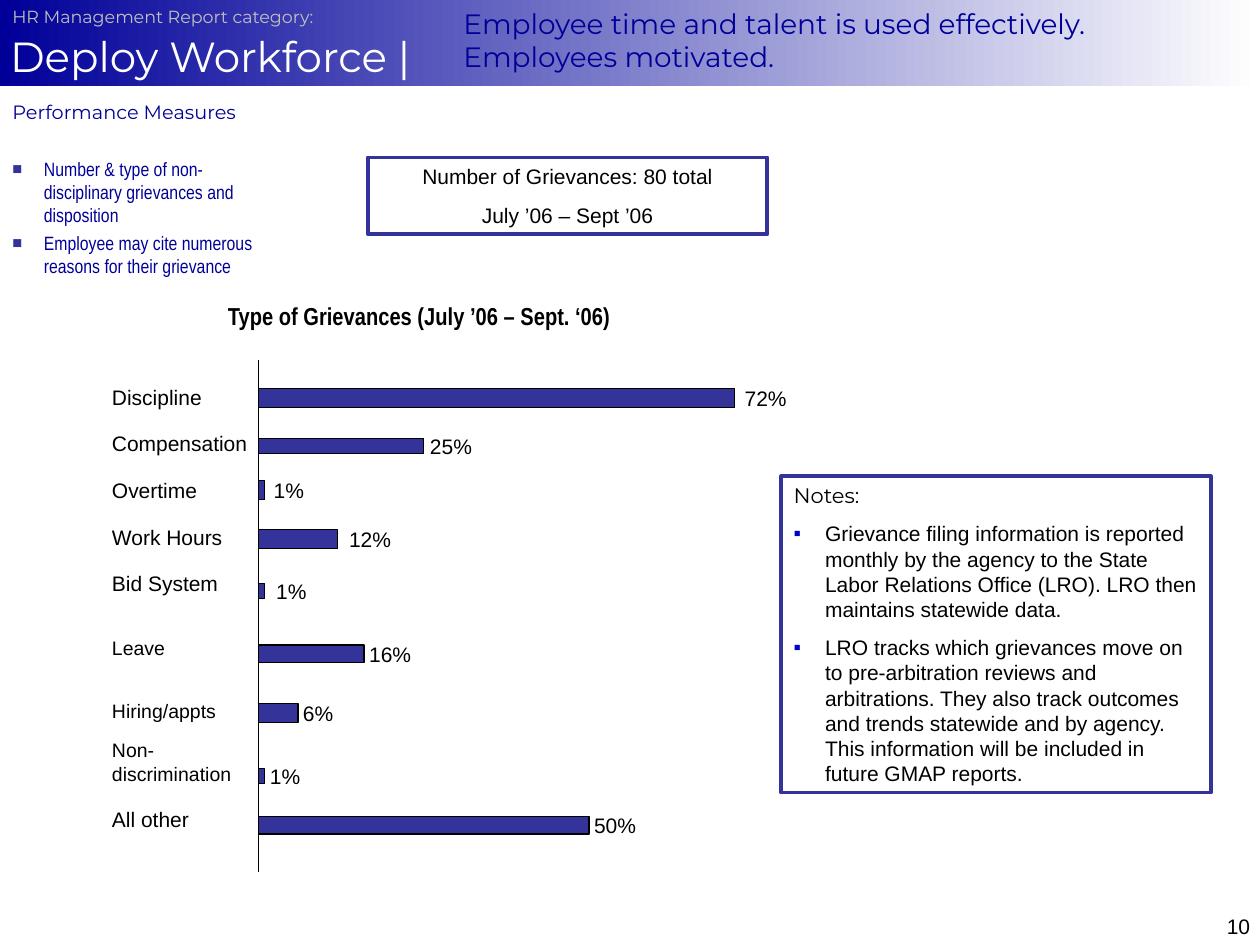
import pptx
import pptx.dml.color
import pptx.enum.shapes
import pptx.enum.text
import pptx.oxml
import pptx.util
from pptx.dml.color import RGBColor
from pptx.util import Inches

NAVY = RGBColor(0x00, 0x00, 0x99)
INDIGO = RGBColor(0x33, 0x33, 0x99)
BULLET_BLUE = RGBColor(0x00, 0x00, 0xCC)
SILVER = RGBColor(0xC0, 0xC0, 0xC0)
WHITE = RGBColor(0xFF, 0xFF, 0xFF)
BLACK = RGBColor(0x00, 0x00, 0x00)

LEFT = pptx.enum.text.PP_ALIGN.LEFT
CENTER = pptx.enum.text.PP_ALIGN.CENTER
RIGHT = pptx.enum.text.PP_ALIGN.RIGHT
TOP = pptx.enum.text.MSO_ANCHOR.TOP
BOTTOM = pptx.enum.text.MSO_ANCHOR.BOTTOM
RECTANGLE = pptx.enum.shapes.MSO_SHAPE.RECTANGLE

INCHES_PER_PERCENT = 0.0525
LABEL_INDENT = 1.26
# label, label size, row height, bar centre from chart top, bar height, percent, value gap
GRIEVANCES = [
    ("Discipline", 12, 0.37, 0.82, 0.15, 72, 0.08),
    ("Compensation", 12, 0.37, 1.20, 0.12, 25, 0.05),
    ("Overtime", 12, 0.37, 1.55, 0.15, 1, 0.07),
    ("Work Hours", 12, 0.37, 1.94, 0.15, 12, 0.09),
    ("Bid System", 12, 0.37, 2.35, 0.12, 1, 0.09),
    ("Leave", 11.1, 0.5, 2.85, 0.14, 16, 0.04),
    ("Hiring/appts", 11.1, 0.5, 3.32, 0.15, 6, 0.04),
    ("Non-discrimination", 11.1, 0.5, 3.82, 0.12, 1, 0.04),
    ("All other", 12, 0.37, 4.21, 0.14, 50, 0.04),
]


def format_paragraph(paragraph, size, font, color, align=LEFT, bold=False):
    paragraph.alignment = align
    for run in paragraph.runs:
        run.font.size = pptx.util.Pt(size)
        run.font.name = font
        run.font.color.rgb = color
        run.font.bold = bold


def set_margins(frame, horizontal, vertical):
    frame.margin_left = frame.margin_right = Inches(horizontal)
    frame.margin_top = frame.margin_bottom = Inches(vertical)


def add_text(slide, box, text, size, font="Arial", color=BLACK, align=LEFT,
             anchor=TOP, bold=False):
    shape = slide.shapes.add_textbox(*map(Inches, box))
    frame = shape.text_frame
    frame.word_wrap = True
    frame.vertical_anchor = anchor
    set_margins(frame, 0.1, 0.05)
    frame.text = text
    format_paragraph(frame.paragraphs[0], size, font, color, align, bold)
    return frame


def add_rectangle(slide, box):
    shape = slide.shapes.add_shape(RECTANGLE, *map(Inches, box))
    shape.shadow.inherit = False
    shape.text_frame.word_wrap = True
    shape.text_frame.vertical_anchor = TOP
    return shape


def add_framed_box(slide, box):
    shape = add_rectangle(slide, box)
    shape.fill.background()
    shape.line.color.rgb = INDIGO
    shape.line.width = pptx.util.Pt(2.25)
    set_margins(shape.text_frame, 0.1, 0.05)
    return shape.text_frame


def add_bullet(paragraph, character, color, size_percent=100):
    properties = paragraph._p.get_or_add_pPr()
    properties.set("marL", str(Inches(0.25)))
    properties.set("indent", str(-Inches(0.25)))
    namespace = 'xmlns:a="http://schemas.openxmlformats.org/drawingml/2006/main"'
    for xml in (
        f'<a:buClr {namespace}><a:srgbClr val="{color}"/></a:buClr>',
        f'<a:buSzPct {namespace} val="{size_percent * 1000}"/>',
        f'<a:buFont {namespace} typeface="Arial"/>',
        f'<a:buChar {namespace} char="{character}"/>',
    ):
        properties.append(pptx.oxml.parse_xml(xml))


def add_header(slide, left, top, width, height):
    banner = add_rectangle(slide, (left, top, width, height))
    banner.line.fill.background()
    banner.fill.gradient()
    banner.fill.gradient_angle = 0
    for stop, color in zip(banner.fill.gradient_stops, (NAVY, WHITE)):
        stop.color.rgb = color
    frame = banner.text_frame
    set_margins(frame, 0.08, 0.04)
    frame.text = "Deploy Workforce |"
    format_paragraph(frame.paragraphs[0], 24, "Montserrat", WHITE)
    frame.paragraphs[0].line_spacing = 1.5
    add_text(slide, (left + 3.58, top, 6.08, 0.64),
             "Employee time and talent is used effectively. Employees motivated.",
             16, "Montserrat", NAVY)
    add_text(slide, (left, top, 3, 0.27), "HR Management Report category:",
             10, "Montserrat", SILVER)


def add_performance_measures(slide, box):
    frame = add_text(slide, box, "Performance Measures", 11, "Montserrat", NAVY)
    measures = [
        ("Number & type of non-disciplinary grievances and disposition", 19),
        ("Employee may cite numerous reasons for their grievance", 2.8),
    ]
    for text, space_before in measures:
        paragraph = frame.add_paragraph()
        paragraph.text = text
        paragraph.space_before = pptx.util.Pt(space_before)
        add_bullet(paragraph, "■", INDIGO, 85)
        format_paragraph(paragraph, 11, "Arial Narrow", NAVY)


def add_total(slide, box):
    frame = add_framed_box(slide, box)
    frame.text = "Number of Grievances: 80 total\nJuly ’06 – Sept ’06"
    for paragraph in frame.paragraphs:
        format_paragraph(paragraph, 12, "Arial", BLACK, CENTER)
    frame.paragraphs[1].space_before = pptx.util.Pt(7.5)


def add_notes_box(slide, box):
    frame = add_framed_box(slide, box)
    frame.text = "Notes:"
    format_paragraph(frame.paragraphs[0], 12, "Montserrat", BLACK)
    for text in (
        "Grievance filing information is reported monthly by the agency to the State "
        "Labor Relations Office (LRO). LRO then maintains statewide data.",
        "LRO tracks which grievances move on to pre-arbitration reviews and "
        "arbitrations. They also track outcomes and trends statewide and by agency. "
        "This information will be included in future GMAP reports.",
    ):
        paragraph = frame.add_paragraph()
        paragraph.text = text
        paragraph.space_before = pptx.util.Pt(7.5)
        add_bullet(paragraph, "▪", BULLET_BLUE)
        format_paragraph(paragraph, 12, "Arial", BLACK)


def add_bar(slide, box):
    bar = add_rectangle(slide, box)
    bar.fill.solid()
    bar.fill.fore_color.rgb = INDIGO
    bar.line.color.rgb = BLACK
    bar.line.width = pptx.util.Pt(0.75)


def add_value(slide, left, center, percent):
    width = 0.35 if percent >= 10 else 0.26
    frame = add_text(slide, (left, center - 0.1, width, 0.2), f"{percent}%", 12)
    set_margins(frame, 0, 0)
    frame.word_wrap = False
    frame.auto_size = pptx.enum.text.MSO_AUTO_SIZE.SHAPE_TO_FIT_TEXT


def add_grievance_bars(slide, left, top, height):
    """Draw the titled bars at their uneven row positions; left is the label column."""
    axis_x = left + LABEL_INDENT
    add_text(slide, (left + 0.92, top, 3.33, 0.34),
             "Type of Grievances (July ’06 – Sept. ‘06)", 14, "Arial Narrow", bold=True)
    row_top = top + 0.59
    for label, size, row_height, center, bar_height, percent, gap in GRIEVANCES:
        add_text(slide, (left, row_top, 1.35, row_height), label, size, anchor=BOTTOM)
        row_top += row_height
        bar_width = percent * INCHES_PER_PERCENT
        add_bar(slide, (axis_x, top + center - bar_height / 2, bar_width, bar_height))
        add_value(slide, axis_x + bar_width + gap, top + center, percent)
    axis = slide.shapes.add_connector(
        pptx.enum.shapes.MSO_CONNECTOR.STRAIGHT, Inches(axis_x), Inches(top + height),
        Inches(axis_x), Inches(top + 0.52))
    axis.line.color.rgb = BLACK
    axis.line.width = pptx.util.Pt(0.75)
    axis._element.spPr.append(pptx.oxml.parse_xml(
        '<a:effectLst xmlns:a="http://schemas.openxmlformats.org/drawingml/2006/main"/>'))


def main():
    presentation = pptx.Presentation()
    presentation.slide_width = Inches(10)
    presentation.slide_height = Inches(7.5)
    slide = presentation.slides.add_slide(presentation.slide_layouts[6])
    add_performance_measures(slide, (0, 0.75, 2.25, 1.92))
    add_header(slide, 0, 0, 10, 0.68)
    add_total(slide, (2.92, 1.25, 3.17, 0.61))
    add_notes_box(slide, (6.2, 3.78, 3.41, 2.51))
    add_grievance_bars(slide, 0.79, 2.34, 4.58)
    add_text(slide, (7.69, 7.2, 2.33, 0.52), "10", 12, align=RIGHT)
    presentation.save("out.pptx")


if __name__ == "__main__":
    main()
